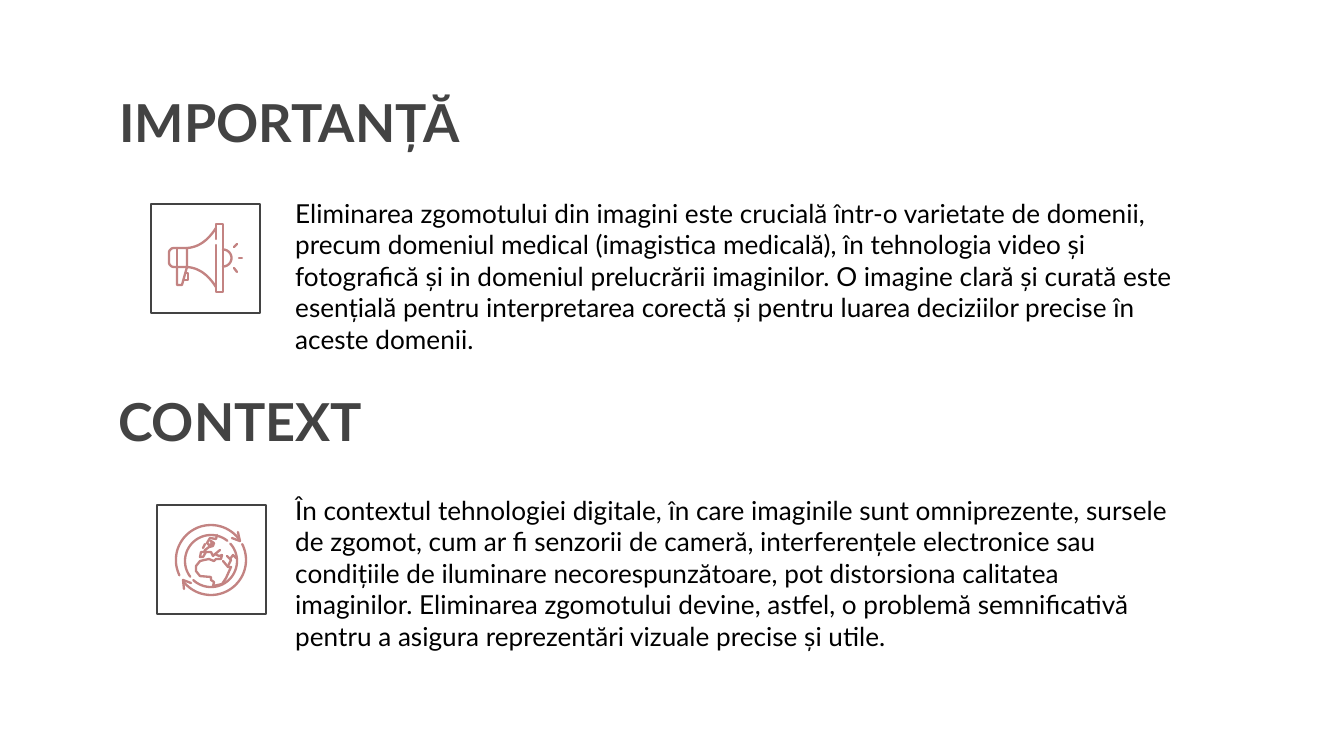
import math
from dataclasses import dataclass

import pptx
import pptx.dml.color
import pptx.enum.shapes
import pptx.enum.text
import pptx.oxml
import pptx.oxml.ns
import pptx.util

PX = 6804
FINE = 100


@dataclass(frozen=True)
class Theme:
    font: str = "Lato"
    ink: str = "000000"
    dark: str = "434343"
    rose: str = "C38382"
    head: int = 28
    body: int = 14
    edge: float = 0.75
    pen: float = 1.25
    pad: float = 7.2


def hue(code):
    return pptx.dml.color.RGBColor.from_string(code)


def arc(x, y, size, start, stop, count=40):
    turns = [math.radians(start + (stop - start) * i / count) for i in range(count + 1)]
    return [(x + size * math.cos(t), y + size * math.sin(t)) for t in turns]


def bend(start, mid, stop, count=12):
    steps = [i / count for i in range(count + 1)]
    return [tuple((1 - t) ** 2 * a + 2 * t * (1 - t) * b + t * t * c
                  for a, b, c in zip(start, mid, stop)) for t in steps]


class Deck:
    def __init__(self, theme):
        self.theme = theme
        self.file = pptx.Presentation()
        self.file.slide_width = 1344 * PX
        self.file.slide_height = 756 * PX
        self.slide = self.file.slides.add_slide(self.file.slide_layouts[5])
        self.shapes = self.slide.shapes

    def fill(self, shape, text, size, tint, bold=False):
        frame = shape.text_frame
        frame.word_wrap = True
        frame.auto_size = pptx.enum.text.MSO_AUTO_SIZE.NONE
        frame.vertical_anchor = pptx.enum.text.MSO_ANCHOR.TOP
        for side in ("left", "right", "top", "bottom"):
            setattr(frame, f"margin_{side}", pptx.util.Pt(self.theme.pad))
        frame.text = text
        line = frame.paragraphs[0]
        line.alignment = pptx.enum.text.PP_ALIGN.LEFT
        line.font.name = self.theme.font
        line.font.size = pptx.util.Pt(size)
        line.font.bold = bold
        line.font.color.rgb = hue(tint)

    def box(self, x, y, w, h):
        return self.shapes.add_textbox(x * PX, y * PX, w * PX, h * PX)

    def title(self, text, x, y, w, h):
        shape = self.shapes.title
        shape.left, shape.top, shape.width, shape.height = (n * PX for n in (x, y, w, h))
        self.fill(shape, text, self.theme.head, self.theme.dark, True)

    def head(self, text, x, y, w, h):
        self.fill(self.box(x, y, w, h), text, self.theme.head, self.theme.dark, True)

    def body(self, text, x, y, w, h):
        self.fill(self.box(x, y, w, h), text, self.theme.body, self.theme.ink)

    def frame(self, x, y, size):
        kind = pptx.enum.shapes.MSO_SHAPE.RECTANGLE
        shape = self.shapes.add_shape(kind, x * PX, y * PX, size * PX, size * PX)
        shape.shadow.inherit = False
        shape.fill.background()
        shape.line.color.rgb = hue(self.theme.dark)
        shape.line.width = pptx.util.Pt(self.theme.edge)

    def ink(self, shape):
        shape.line.color.rgb = hue(self.theme.rose)
        shape.line.width = pptx.util.Pt(self.theme.pen)
        shape.element.spPr.find(pptx.oxml.ns.qn("a:ln")).set("cap", "rnd")

    def ray(self, *ends):
        kind = pptx.enum.shapes.MSO_CONNECTOR.STRAIGHT
        shape = self.shapes.add_connector(kind, *(n * PX for n in ends))
        self.ink(shape)
        shape.element.spPr.append(pptx.oxml.parse_xml(
            f"<a:effectLst {pptx.oxml.ns.nsdecls('a')}/>"))

    def draw(self, *lines):
        fine = [[(x * FINE, y * FINE) for x, y in line] for line in lines]
        pen = self.shapes.build_freeform(*fine[0][0], scale=PX / FINE)
        for i, line in enumerate(fine):
            if i:
                pen.move_to(*line[0])
            pen.add_line_segments(line[1:], close=False)
        shape = pen.convert_to_shape()
        shape.fill.background()
        shape.shadow.inherit = False
        self.ink(shape)

    def horn(self):
        self.ray(239, 258, 242, 258)
        self.draw(
            arc(174, 253, 5, 270, 180, 8) + arc(174, 262, 5, 180, 90, 8)
            + [(187, 267), (187, 248), (174, 248)],
            [(177, 248), (177, 267)],
            bend((187, 248), (204, 247), (216, 228)),
            bend((187, 267), (204, 268), (216, 287)),
            [(216, 245), (216, 292), (223, 292), (223, 224), (216, 224), (216, 239)],
            [(177, 267), (177, 285), (182, 285), (187, 267)],
            [(186, 273), (188, 273), (188, 280), (184, 280)],
            arc(223, 258, 8.5, -90, 90))
        self.ray(234, 247, 237, 244)
        self.ray(234, 268, 237, 272)

    def globe(self):
        self.draw(arc(211, 560, 35, -27, 142), [(191, 583), (183, 580), (184, 589)])
        self.draw(arc(211, 560, 35, 154, 321), [(232, 538), (240, 541), (238, 532)])
        self.ray(203, 548, 205, 544)
        self.draw(
            arc(211, 561, 26, 143, 309),
            arc(211, 561, 26, -42, 133),
            [(217, 535), (216, 539), (210, 538), (207, 543), (209, 545),
             (212, 544), (211, 541), (214, 543), (213, 546), (209, 547),
             (205, 550), (204, 552), (201, 552), (200, 557), (203, 557),
             (206, 552), (211, 552), (213, 556), (215, 554), (219, 556),
             (222, 555), (221, 559), (216, 559), (214, 561), (209, 559),
             (204, 560), (200, 561), (196, 566), (196, 571), (200, 576),
             (211, 577), (211, 580), (214, 582), (213, 586), (222, 584),
             (226, 578), (231, 567), (228, 567), (223, 561)],
            [(227, 556), (230, 559), (233, 555), (236, 558)],
            [(215, 554), (220, 550)],
            [(230, 559), (231, 560), (228, 566)])


def main():
    deck = Deck(Theme())
    deck.body(
        "Eliminarea zgomotului din imagini este crucială într-o varietate de domenii, "
        "precum domeniul medical (imagistica medicală), în tehnologia video și fotografică "
        "și in domeniul prelucrării imaginilor. O imagine clară și curată este esențială "
        "pentru interpretarea corectă și pentru luarea deciziilor precise în aceste domenii.",
        282, 184, 906, 368)
    deck.frame(151, 204, 109)
    deck.horn()
    deck.title("IMPORTANȚĂ", 106, 77, 1133, 85)
    deck.body(
        "În contextul tehnologiei digitale, în care imaginile sunt omniprezente, sursele "
        "de zgomot, cum ar fi senzorii de cameră, interferențele electronice sau condițiile "
        "de iluminare necorespunzătoare, pot distorsiona calitatea imaginilor. Eliminarea "
        "zgomotului devine, astfel, o problemă semnificativă pentru a asigura reprezentări "
        "vizuale precise și utile.",
        282, 481, 906, 368)
    deck.frame(157, 505, 109)
    deck.head("CONTEXT", 105, 376, 1133, 85)
    deck.globe()
    deck.file.save("out.pptx")


if __name__ == "__main__":
    main()
